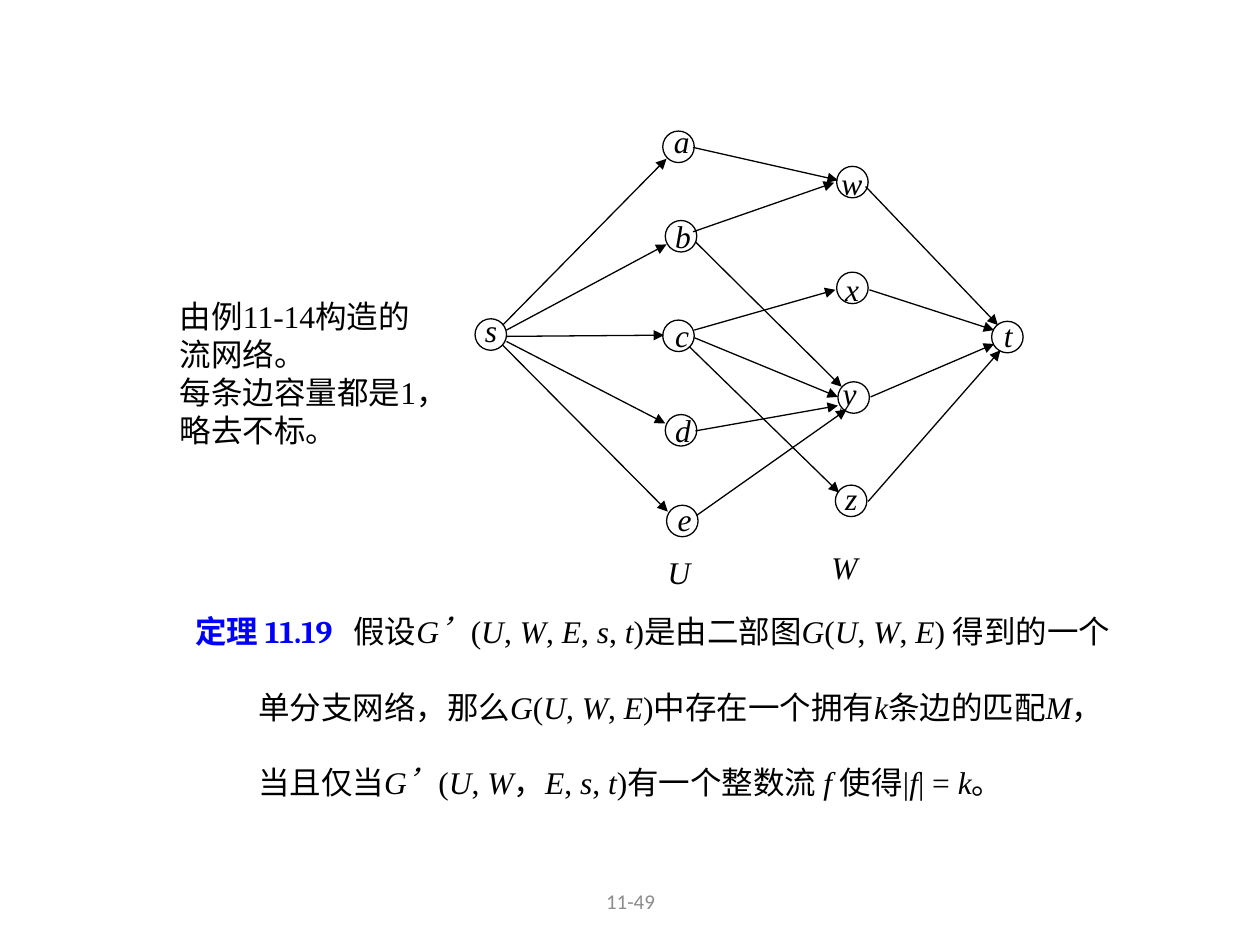
from dataclasses import dataclass
from lxml.etree import SubElement
from pptx import Presentation
from pptx.dml.color import RGBColor
from pptx.enum.shapes import MSO_CONNECTOR, MSO_SHAPE
from pptx.enum.text import MSO_ANCHOR, MSO_AUTO_SIZE, PP_ALIGN
from pptx.oxml.ns import qn
from pptx.util import Inches, Pt


def rgb(value):
    return RGBColor.from_string(value)


@dataclass
class Canvas:
    s: object
    font: str = "Times New Roman"
    heading_font: str = "Cambria"
    ink: str = "000000"
    accent: str = "0000FF"
    size: float = 18
    weight: float = 0.75
    diameter: float = 0.25

    def frame(self, x, y, w, h):
        tf = self.s.shapes.add_textbox(Inches(x), Inches(y), Inches(w), Inches(h)).text_frame
        tf.word_wrap = True
        return tf

    def style(self, font, name=None, size=None, color=None, italic=False):
        font.name = name or self.font
        font.size = Pt(size or self.size)
        font.color.rgb = rgb(color or self.ink)
        font.italic = italic

    def text(self, x, y, w, h, lines, **style):
        tf = self.frame(x, y, w, h)
        for i, line in enumerate(lines):
            p = tf.add_paragraph() if i else tf.paragraphs[0]
            p.text = line
            self.style(p.font, **style)
        return tf

    def label(self, x, y, letter):
        self.text(x, y, 0.56, 0.38, [letter], italic=True)

    def node(self, letter, x, y, label_x, label_y):
        d = Inches(self.diameter)
        sp = self.s.shapes.add_shape(MSO_SHAPE.OVAL, Inches(x), Inches(y), d, d)
        sp.shadow.inherit = False
        sp.fill.background()
        sp.line.color.rgb = rgb(self.ink)
        sp.line.width = Pt(self.weight)
        self.label(label_x, label_y, letter)

    def arrow(self, x1, y1, x2, y2):
        sp = self.s.shapes.add_connector(
            MSO_CONNECTOR.STRAIGHT, Inches(x1), Inches(y1), Inches(x2), Inches(y2))
        sp.line.color.rgb = rgb(self.ink)
        sp.line.width = Pt(self.weight)
        SubElement(sp.line._get_or_add_ln(), qn("a:tailEnd"), type="triangle")
        SubElement(sp._element.spPr, qn("a:effectLst"))

    def theorem(self, x, y, w, h, title, body):
        tf = self.frame(x, y, w, h)
        tf.auto_size = MSO_AUTO_SIZE.SHAPE_TO_FIT_TEXT
        p = tf.paragraphs[0]
        p.line_spacing = 2.0
        pPr = p._p.get_or_add_pPr()
        pPr.set("marL", str(Inches(0.5)))
        pPr.set("indent", str(Inches(-0.5)))
        for part in (title, " "):
            r = p.add_run()
            r.text = part
            self.style(r.font, name=self.heading_font, color=self.accent)
            r.font.bold = True
        r._r.get_or_add_rPr().set("spc", "800")
        for i, part in enumerate(body.split("*")):
            r = p.add_run()
            r.text = part
            self.style(r.font, italic=i % 2 == 1)


NODES = [
    ("s", 3.77, 2.53, 3.75, 2.42),
    ("a", 5.26, 1.04, 5.25, 0.92),
    ("b", 5.28, 1.75, 5.26, 1.67),
    ("c", 5.26, 2.54, 5.26, 2.46),
    ("d", 5.28, 3.29, 5.26, 3.21),
    ("e", 5.29, 4.01, 5.28, 3.92),
    ("w", 6.64, 1.32, 6.58, 1.25),
    ("x", 6.64, 2.16, 6.61, 2.09),
    ("y", 6.65, 3.03, 6.59, 2.92),
    ("z", 6.63, 3.85, 6.61, 3.75),
    ("t", 7.87, 2.55, 7.87, 2.46),
]

SOURCE_EDGES = [
    (3.99, 2.58, 5.29, 1.26),
    (4.02, 2.62, 5.29, 1.94),
    (4.02, 2.67, 5.27, 2.66),
    (4.02, 2.71, 5.28, 3.36),
    (3.99, 2.74, 5.3, 4.06),
]

MATCHING_EDGES = [
    (5.5, 1.17, 6.65, 1.43),
    (5.5, 1.84, 6.62, 1.45),
    (5.52, 1.92, 6.68, 3.07),
    (5.51, 2.62, 6.63, 2.3),
    (5.51, 2.68, 6.65, 3.15),
    (5.47, 2.75, 6.66, 3.91),
    (5.52, 3.42, 6.65, 3.22),
    (5.53, 4.09, 6.72, 3.25),
]

SINK_EDGES = [
    (6.87, 1.48, 7.92, 2.58),
    (6.9, 2.3, 7.89, 2.62),
    (6.91, 3.15, 7.89, 2.73),
    (6.89, 3.98, 7.94, 2.78),
]

NOTE = ["由例11-14构造的", "流网络。", "每条边容量都是1，略去不标。"]

THEOREM = (
    "假设*G’*(*U*, *W*, *E*, *s*, *t*)是由二部图*G*(*U*, *W*, *E*) 得到的一个单分支网络，"
    "那么*G*(*U*, *W*, *E*)中存在一个拥有*k*条边的匹配*M*，"
    "当且仅当*G’*(*U*, *W*，*E*, *s*, *t*)有一个整数流 *f *使得|*f*| = *k*。"
)


def main():
    prs = Presentation()
    prs.slide_width = Inches(10)
    prs.slide_height = Inches(7.5)
    canvas = Canvas(prs.slides.add_slide(prs.slide_layouts[6]))

    for edge in SOURCE_EDGES + MATCHING_EDGES + SINK_EDGES:
        canvas.arrow(*edge)
    for node in NODES:
        canvas.node(*node)
    canvas.label(5.2, 4.34, "U")
    canvas.label(6.5, 4.3, "W")

    canvas.text(1.33, 2.31, 2.51, 1.28, NOTE)
    canvas.theorem(1.45, 4.51, 7.5, 1.82, "定理 11.19", THEOREM)

    tf = canvas.text(3.42, 6.95, 3.17, 0.4, ["11-49"], name="Calibri", size=12, color="8C8C8C")
    tf.vertical_anchor = MSO_ANCHOR.MIDDLE
    tf.paragraphs[0].alignment = PP_ALIGN.CENTER

    prs.save("out.pptx")


if __name__ == "__main__":
    main()
